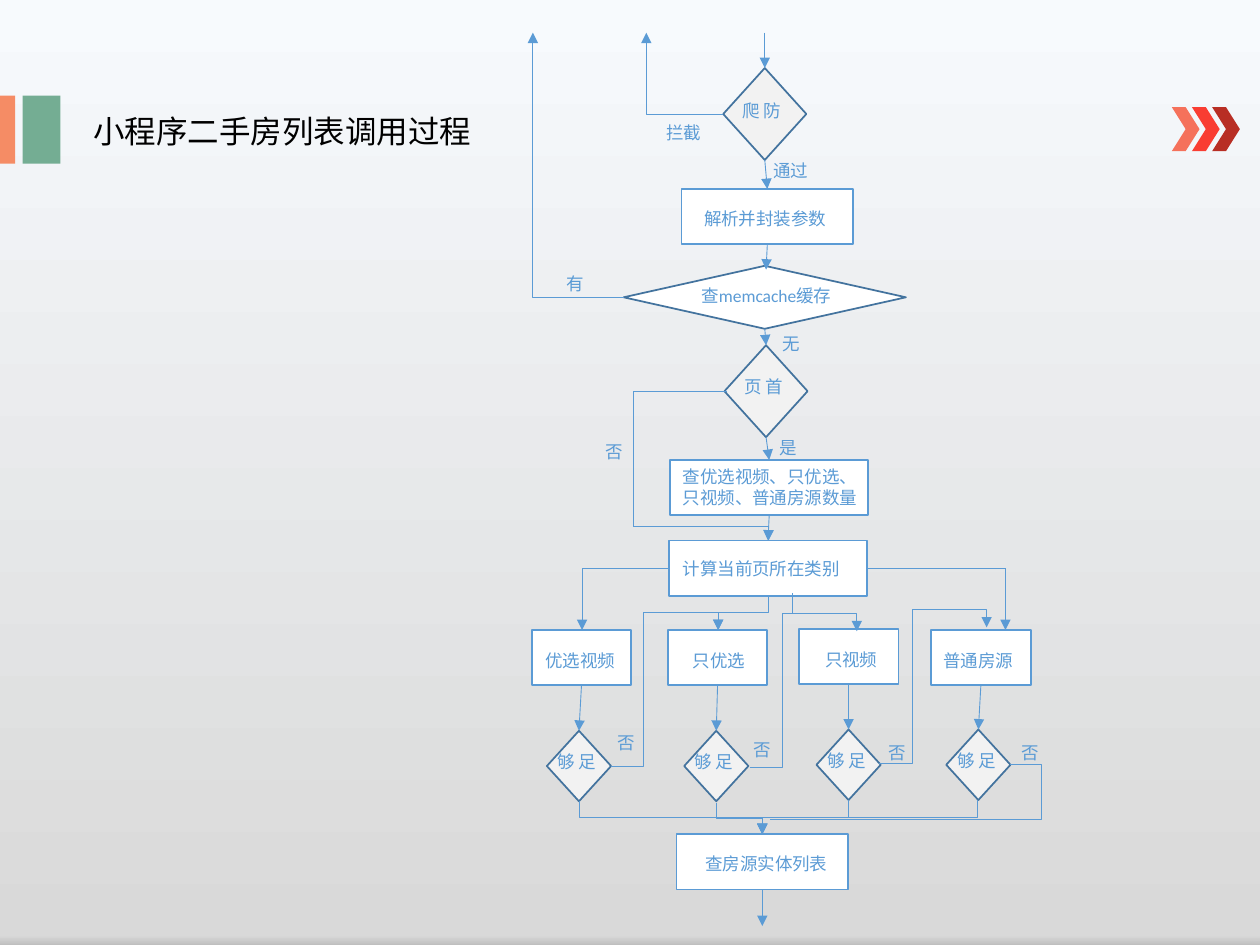
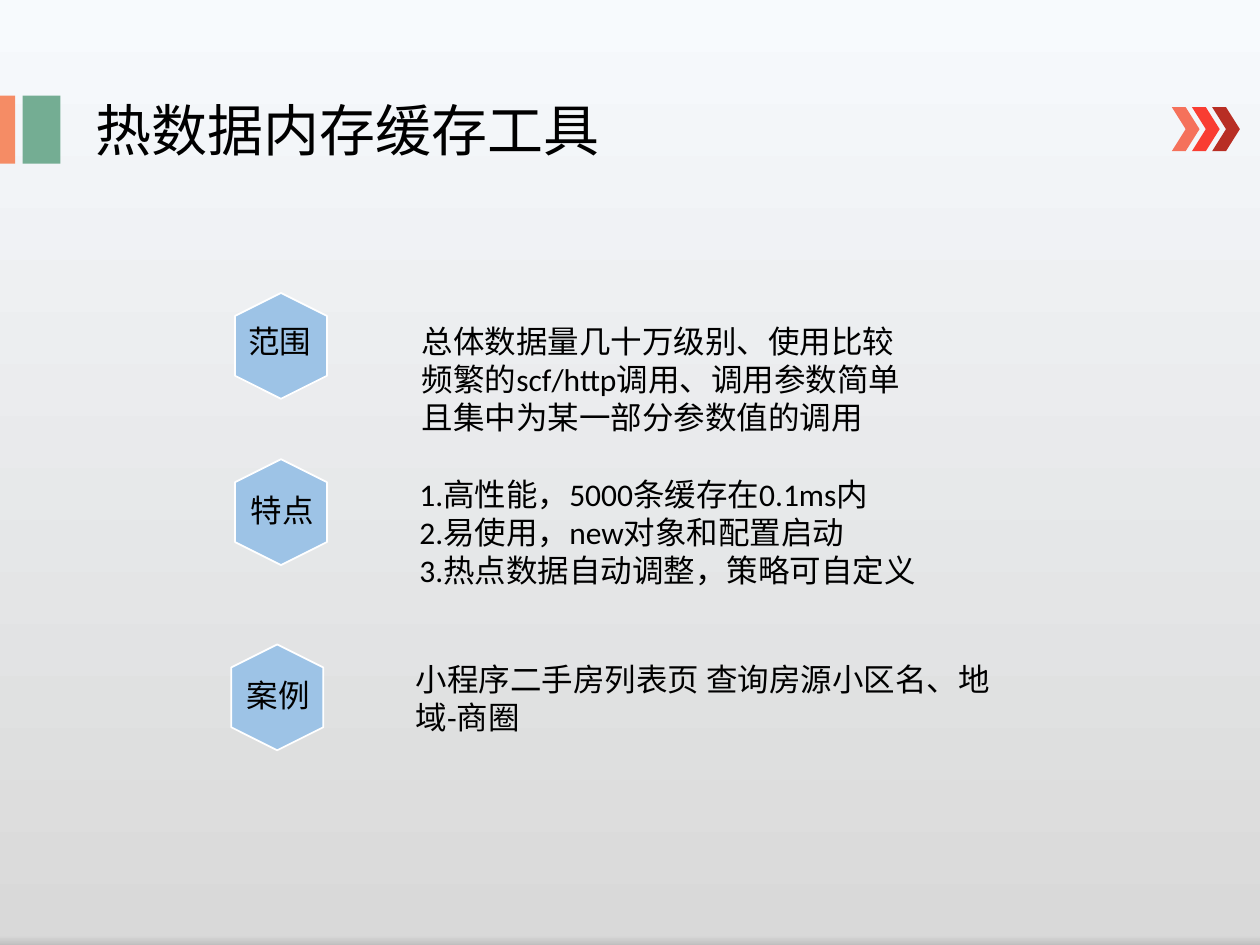
import pptx
import pptx.util
import pptx.dml.color
import pptx.enum.shapes
import pptx.enum.text
import pptx.oxml.ns
import lxml.etree

Inches = pptx.util.Inches
SHAPE = pptx.enum.shapes.MSO_SHAPE
LINK = pptx.enum.shapes.MSO_CONNECTOR
TOP, LEFT, BOTTOM, RIGHT = range(4)

COLOURS = {
    "blue": "5B9BD5", "edge": "43739E", "white": "FFFFFF", "pale": "F2F2F2",
    "black": "000000", "hexagon": "9DC3E6", "orange": "F58C65", "green": "74AD93",
    "coral": "F5715B", "red": "F93D32", "crimson": "B82E24",
}
BACKGROUND = [(0, "F7FAFD"), (99, "D9D9D9"), (100, "BFBFBF")]
STYLES = {
    "flow": {"size": 10, "colour": "blue"},
    "body": {"size": 18, "colour": "black"},
    "heading": {"size": 32, "colour": "black"},
}

# Shared decoration: shape, left, top, width, height, colour
BANDS = [
    (SHAPE.RECTANGLE, 0, 0.76, 0.12, 0.54, "orange"),
    (SHAPE.RECTANGLE, 0.18, 0.76, 0.3, 0.54, "green"),
] + [
    (SHAPE.CHEVRON, 9.3 + 0.16 * step, 0.85, 0.22, 0.35, colour)
    for step, colour in enumerate(["coral", "red", "crimson"])
]

# Flow chart: name -> (shape, fill, line), frame, text, text frame
BOX = (SHAPE.RECTANGLE, "white", "blue")
CHOICE = (SHAPE.DIAMOND, "pale", "edge")
WIDE_CHOICE = (SHAPE.DIAMOND, "white", "edge")
NODES = {
    "cache": (WIDE_CHOICE, (4.95, 2.11, 2.24, 0.5), "查memcache缓存", (5.47, 2.21, 2.54, 0.27)),
    "guard": (CHOICE, (5.74, 0.54, 0.66, 0.73), "防爬", (5.89, 0.71, 0.37, 0.4)),
    "params": (BOX, (5.41, 1.5, 1.36, 0.44), "解析并封装参数", (5.49, 1.6, 2.54, 0.27)),
    "first page": (CHOICE, (5.75, 2.74, 0.66, 0.73), "首页", (5.9, 2.9, 0.37, 0.4)),
    "counts": (BOX, (5.32, 3.65, 1.57, 0.44), "查优选视频、只优选、\n只视频、普通房源数量",
               (5.32, 3.65, 1.67, 0.44)),
    "category": (BOX, (5.31, 4.29, 1.57, 0.44), "计算当前页所在类别", (5.32, 4.38, 1.67, 0.27)),
    "entities": (BOX, (5.37, 6.62, 1.36, 0.44), "查房源实体列表", (5.5, 6.72, 2.54, 0.27)),
}

# Branches: text, box left and top, text left, choice left and top, place of 否
BRANCHES = [
    ("优选视频", 4.22, 5, 4.23, 4.34, 5.8, (4.8, 5.76)),
    ("只优选", 5.3, 5, 5.4, 5.43, 5.8, (5.88, 5.82)),
    ("只视频", 6.34, 4.99, 6.45, 6.48, 5.79, (6.95, 5.84)),
    ("普通房源", 7.39, 5, 7.39, 7.51, 5.79, (8.01, 5.84)),
]
for branch, left, top, text_left, choice_left, choice_top, place in BRANCHES:
    NODES[branch] = (BOX, (left, top, 0.79, 0.44), branch, (text_left, top + 0.11, 0.9, 0.27))
    NODES[branch + "够"] = (CHOICE, (choice_left, choice_top, 0.51, 0.56), "足够",
                           (choice_left + 0.08, choice_top + 0.08, 0.37, 0.4))

ANSWERS = [
    ("通过", 6.04, 1.22, 0.79), ("拦截", 5.19, 0.92, 0.79), ("有", 4.4, 2.12, 0.39),
    ("无", 6.11, 2.59, 0.39), ("是", 6.09, 3.42, 0.39), ("否", 4.71, 3.45, 0.39),
] + [("否", *branch[-1], 0.39) for branch in BRANCHES]

# Straight lines: an end is a point or a node with its side; then arrowhead
STRAIGHT = [
    ((6.07, 0.26), ("guard", TOP), True),
    (("guard", BOTTOM), ("params", TOP), True),
    (("params", BOTTOM), (6.08, 2.14), True),
    (("cache", BOTTOM), ("first page", TOP), True),
    (("first page", BOTTOM), ("counts", TOP), True),
    (("counts", BOTTOM), ("category", TOP), True),
    ((6.29, 4.71), (6.29, 4.87), False),
    (("category", RIGHT), (7.98, 4.51), False),
    ((7.98, 4.51), (7.98, 5), True),
    (("entities", BOTTOM), (6.05, 7.35), True),
] + [((branch[0], BOTTOM), (branch[0] + "够", TOP), True) for branch in BRANCHES]

# One corner, sideways first: start, end, arrowhead
CORNERS = [
    ((5.74, 0.91), (5.13, 0.26), True),
    ((4.95, 2.36), (4.23, 0.26), True),
    ((5.77, 3.11), (5.03, 4.18), False),
    ((5.03, 4.18), (6.1, 4.29), True),
    ((5.31, 4.51), (4.62, 5), True),
]
for x, y in [(4.85, 6.08), (5.95, 6.09), (6.98, 6.06)]:
    turn = (x + 0.26, y - 1.22)
    CORNERS += [((x, y), turn, False), (turn, (turn[0] + 0.59, turn[1] + 0.14), True)]

# Two corners, downwards first: start, end
STEPS = [((6.1, 4.73), (5.7, 5))] + [
    (start, (6.05, 6.62)) for start in [(4.6, 6.36), (5.69, 6.37), (6.73, 6.35), (7.76, 6.35)]
]
LAST_RETURN = ((8.02, 6.07), (6.11, 6.5), -13100)

# Second slide: hexagon left and top, label and its place, text and its frame
TOPICS = [
    (1.81, 2.38, "范围", (1.87, 2.51),
     "总体数据量几十万级别、使用比较频繁的scf/http调用、调用参数简单\n且集中为某一部分参数值的调用",
     (3.25, 2.51, 4.16, 1.01)),
    (1.81, 3.7, "特点", (1.89, 3.85),
     "1.高性能，5000条缓存在0.1ms内\n2.易使用，new对象和配置启动\n3.热点数据自动调整，策略可自定义",
     (3.23, 3.72, 4.58, 1.01)),
    (1.78, 5.17, "案例", (1.86, 5.32),
     "小程序二手房列表页 查询房源小区名、地域-商圈", (3.2, 5.19, 4.91, 0.71)),
]


def rgb(name):
    return pptx.dml.color.RGBColor.from_string(COLOURS[name])


def add_child(parent, tag, **attributes):
    return lxml.etree.SubElement(parent, pptx.oxml.ns.qn(tag), attributes)


def add_block(page, kind, frame, fill, line=None):
    block = page.shapes.add_shape(kind, *map(Inches, frame))
    block.shadow.inherit = False
    block.fill.solid()
    block.fill.fore_color.rgb = rgb(fill)
    if line:
        block.line.color.rgb = rgb(line)
        block.line.width = pptx.util.Pt(1)
    else:
        block.line.fill.background()
    return block


def add_text(page, text, frame, style, vertical=False):
    box = page.shapes.add_textbox(*map(Inches, frame))
    body = box.text_frame
    settings = {"word_wrap": True, "auto_size": pptx.enum.text.MSO_AUTO_SIZE.SHAPE_TO_FIT_TEXT}
    for name, value in settings.items():
        setattr(body, name, value)
    if vertical:
        body._txBody.bodyPr.set("vert", "eaVert")
    look = STYLES[style]
    formats = {"name": "Calibri", "size": pptx.util.Pt(look["size"])}
    for index, words in enumerate(text.split("\n")):
        para = body.add_paragraph() if index else body.paragraphs[0]
        span = para.add_run()
        span.text = words
        for name, value in formats.items():
            setattr(span.font, name, value)
        span.font.color.rgb = rgb(look["colour"])


def add_link(page, kind, start, end, arrow):
    link = page.shapes.add_connector(kind, *map(Inches, (*start, *end)))
    link.line.color.rgb = rgb("blue")
    link.line.width = pptx.util.Pt(0.5)
    if arrow:
        add_child(link.line._get_or_add_ln(), "a:tailEnd", type="triangle")
    add_child(link.element.spPr, "a:effectLst")
    return link


def add_straight(page, blocks, start, end, arrow):
    points = [(0, 0) if end_point[0] in blocks else end_point for end_point in (start, end)]
    link = add_link(page, LINK.STRAIGHT, *points, arrow)
    for join, (node, side) in ((link.begin_connect, start), (link.end_connect, end)):
        if node in blocks:
            join(blocks[node], side)


def add_corner(page, start, end, arrow):
    link = add_link(page, LINK.ELBOW, start, end, arrow)
    link.element.spPr.find(pptx.oxml.ns.qn("a:prstGeom")).set("prst", "bentConnector2")


def add_step(page, start, end):
    """Turn a sideways elbow by a quarter so that it leaves downwards."""
    middle_x, middle_y = (start[0] + end[0]) / 2, (start[1] + end[1]) / 2
    sign = 1 if end[0] < start[0] else -1
    half_x = sign * (end[1] - start[1]) / 2
    half_y = sign * (start[0] - end[0]) / 2
    link = add_link(page, LINK.ELBOW, (middle_x - half_x, middle_y - half_y),
                    (middle_x + half_x, middle_y + half_y), True)
    link.element.spPr.xfrm.set("rot", "5400000" if sign > 0 else "16200000")


def add_page(deck, title, frame, style):
    page = deck.slides.add_slide(deck.slide_layouts[6])
    fill = page.background.fill
    fill.gradient()
    fill.gradient_angle = 270
    stops = page.element.find(".//" + pptx.oxml.ns.qn("a:gsLst"))
    for stop in list(stops):
        stops.remove(stop)
    for percent, colour in BACKGROUND:
        stop = add_child(stops, "a:gs", pos=str(percent * 1000))
        add_child(stop, "a:srgbClr", val=colour)
    for kind, *band, colour in BANDS:
        add_block(page, kind, band, colour)
    add_text(page, title, frame, style)
    return page


def build_flow(deck):
    page = add_page(deck, "小程序二手房列表调用过程", (0.64, 0.84, 3.9, 0.4), "body")
    blocks = {}
    for name, ((kind, fill, line), frame, text, text_frame) in NODES.items():
        blocks[name] = add_block(page, kind, frame, fill, line)
        add_text(page, text, text_frame, "flow", vertical=fill == "pale")
    for line in STRAIGHT:
        add_straight(page, blocks, *line)
    for line in CORNERS:
        add_corner(page, *line)
    for line in STEPS:
        add_step(page, *line)
    start, end, bend = LAST_RETURN
    link = add_link(page, LINK.ELBOW, start, end, False)
    guides = link.element.spPr.find(".//" + pptx.oxml.ns.qn("a:avLst"))
    add_child(guides, "a:gd", name="adj1", fmla=f"val {bend}")
    for text, left, top, width in ANSWERS:
        add_text(page, text, (left, top, width, 0.27), "flow")


def build_topics(deck):
    page = add_page(deck, "热数据内存缓存工具", (0.66, 0.71, 6.97, 0.64), "heading")
    for left, top, label, place, text, frame in TOPICS:
        hexagon = add_block(page, SHAPE.HEXAGON, (left, top, 0.84, 0.73), "hexagon", "white")
        hexagon.rotation = 90
        add_text(page, label, (*place, 1.39, 0.4), "body")
        add_text(page, text, frame, "body")


def main():
    deck = pptx.Presentation()
    deck.slide_width, deck.slide_height = Inches(10), Inches(7.5)
    build_flow(deck)
    build_topics(deck)
    deck.save("out.pptx")


if __name__ == "__main__":
    main()
